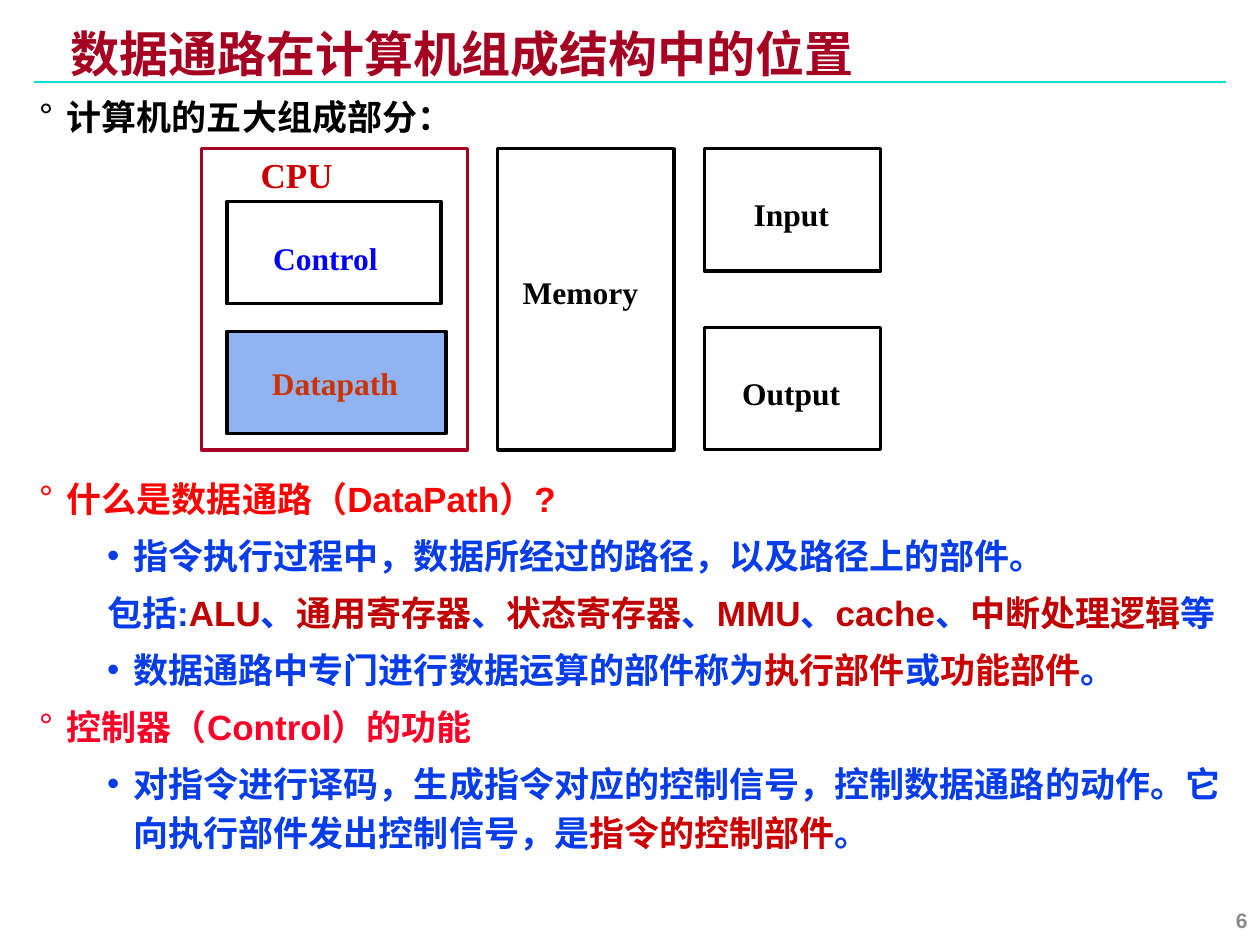
"""Build the slide on where the datapath sits in a computer's structure."""
from dataclasses import dataclass
from typing import NamedTuple, Optional

from lxml.etree import SubElement
from pptx import Presentation
from pptx.dml.color import RGBColor
from pptx.enum.shapes import MSO_CONNECTOR, MSO_SHAPE
from pptx.enum.text import MSO_ANCHOR, PP_ALIGN
from pptx.oxml.ns import qn
from pptx.slide import Slide
from pptx.util import Inches, Pt

COLORS = {
    "black": "000000", "crimson": "A50021", "rule": "00DFCA", "red": "FF0000",
    "rose": "FC0128", "blue": "063DE8", "brick": "C00000", "scarlet": "CC0000",
    "control": "0000FF", "rust": "CC3300", "sky": "91B3F1", "gray": "8C8C8C",
}
SLIDE_WIDTH, SLIDE_HEIGHT = Inches(10), Inches(7.5)
COLUMN, ROW = SLIDE_WIDTH / 100, SLIDE_HEIGHT / 75
SANS, SERIF = "Arial", "Times New Roman"
TIGHT, REGULAR = (0.07, 0.03), (0.1, 0.05)


class Area(NamedTuple):
    """Left, top, width and height in grid columns and rows."""
    left: float
    top: float
    width: float
    height: float

    def emu(self) -> tuple[int, int, int, int]:
        """Return the area in slide units."""
        return (round(self.left * COLUMN), round(self.top * ROW),
                round(self.width * COLUMN), round(self.height * ROW))


class Piece(NamedTuple):
    """A stretch of text in one colour."""
    text: str
    color: str


class Level(NamedTuple):
    """Indents in inches and the bullet of an outline level."""
    margin: float
    hanging: float
    bullet: Optional[str]


@dataclass(frozen=True)
class Line:
    """A paragraph with its pieces and layout."""
    pieces: tuple[Piece, ...]
    size: float = 20
    font: str = SANS
    level: Optional[Level] = None
    spacing: Optional[float] = None
    before: float = 0
    align: Optional[PP_ALIGN] = None


@dataclass(frozen=True)
class Unit:
    """A framed part of the computer with its label."""
    frame: Area
    label_area: Area
    label: Piece
    border: str = "black"
    fill: Optional[str] = None
    size: float = 18
    align: Optional[PP_ALIGN] = None


TOPIC = Level(0.22, -0.22, "°")
DETAIL = Level(0.75, -0.21, "•")
PLAIN = Level(0.54, 0, None)

UNITS = (
    Unit(Area(18, 16, 17, 8.1), Area(20.7, 18.5, 11, 4), Piece("Control", "control")),
    Unit(Area(39.5, 11.8, 14, 23.9), Area(40.5, 21.2, 12.5, 4), Piece("Memory", "black")),
    Unit(Area(16, 11.8, 21.1, 23.9), Area(19.7, 11.7, 8.5, 4.3), Piece("CPU", "scarlet"),
         border="crimson", size=20),
    Unit(Area(55.9, 11.8, 14, 9.7), Area(57.8, 15, 10, 4), Piece("Input", "black"),
         align=PP_ALIGN.CENTER),
    Unit(Area(55.9, 26, 14, 9.7), Area(56.8, 29.2, 12, 4), Piece("Output", "black"),
         align=PP_ALIGN.CENTER),
    Unit(Area(18, 26.3, 17.4, 8.1), Area(20.6, 28.4, 13.2, 4), Piece("Datapath", "rust"),
         fill="sky"),
)

PARTS = ("ALU", "通用寄存器", "状态寄存器", "MMU", "cache", "中断处理逻辑")
SEPARATORS = ("、",) * (len(PARTS) - 1) + ("等",)
PART_PIECES = tuple(
    piece for part, separator in zip(PARTS, SEPARATORS)
    for piece in (Piece(part, "brick"), Piece(separator, "blue"))
)

OUTLINE = (
    (TOPIC, (Piece("什么是数据通路（DataPath）?", "red"),)),
    (DETAIL, (Piece("指令执行过程中，数据所经过的路径，以及路径上的部件。", "blue"),)),
    (PLAIN, (Piece("包括:", "blue"), *PART_PIECES)),
    (DETAIL, (Piece("数据通路中专门进行数据运算的部件称为", "blue"),
              Piece("执行部件", "scarlet"), Piece("或", "blue"),
              Piece("功能部件", "scarlet"), Piece("。", "blue"))),
    (TOPIC, (Piece("控制器（Control）的功能", "rose"),)),
    (DETAIL, (Piece("对指令进行译码，生成指令对应的控制信号，控制数据通路的动作。"
                    "它向执行部件发出控制信号，是", "blue"),
              Piece("指令的控制部件", "scarlet"), Piece("。", "blue"))),
)


def rgb(name: str) -> RGBColor:
    """Look up a colour by name."""
    return RGBColor.from_string(COLORS[name])


def set_level(paragraph, level: Level) -> None:
    """Give a paragraph its indents and bullet."""
    properties = paragraph._p.get_or_add_pPr()
    properties.set("marL", str(Inches(level.margin)))
    properties.set("indent", str(Inches(level.hanging)))
    if level.bullet:
        SubElement(properties, qn("a:buFont")).set("typeface", SANS)
        SubElement(properties, qn("a:buChar")).set("char", level.bullet)


def add_text(slide: Slide, area: Area, lines: tuple[Line, ...],
             insets: tuple[float, float] = TIGHT, wrap: bool = True,
             anchor: MSO_ANCHOR = MSO_ANCHOR.TOP) -> None:
    """Add a text box that holds the given lines."""
    frame = slide.shapes.add_textbox(*area.emu()).text_frame
    frame.word_wrap, frame.vertical_anchor = wrap, anchor
    frame.margin_left = frame.margin_right = Inches(insets[0])
    frame.margin_top = frame.margin_bottom = Inches(insets[1])
    for index, line in enumerate(lines):
        paragraph = frame.add_paragraph() if index else frame.paragraphs[0]
        if line.level:
            set_level(paragraph, line.level)
        paragraph.alignment = line.align
        paragraph.line_spacing = line.spacing
        if index:
            paragraph.space_before = Pt(line.before)
        for piece in line.pieces:
            run = paragraph.add_run()
            run.text = piece.text
            run.font.name, run.font.size, run.font.bold = line.font, Pt(line.size), True
            run.font.color.rgb = rgb(piece.color)


def add_unit(slide: Slide, unit: Unit) -> None:
    """Draw a framed part and its label."""
    box = slide.shapes.add_shape(MSO_SHAPE.RECTANGLE, *unit.frame.emu())
    box.shadow.inherit = False
    box.line.color.rgb, box.line.width = rgb(unit.border), Pt(2)
    if unit.fill:
        box.fill.solid()
        box.fill.fore_color.rgb = rgb(unit.fill)
    else:
        box.fill.background()
    label = Line((unit.label,), size=unit.size, font=SERIF, align=unit.align)
    add_text(slide, unit.label_area, (label,), REGULAR, wrap=False)


def add_rule(slide: Slide, left: float, right: float, row: float) -> None:
    """Draw the horizontal rule below the title."""
    rule = slide.shapes.add_connector(
        MSO_CONNECTOR.STRAIGHT, round(left * COLUMN), round(row * ROW),
        round(right * COLUMN), round(row * ROW))
    rule.line.color.rgb, rule.line.width = rgb("rule"), Pt(1.5)
    SubElement(rule._element.spPr, qn("a:effectLst"))


def main() -> None:
    """Assemble and save the slide."""
    deck = Presentation()
    deck.slide_width, deck.slide_height = SLIDE_WIDTH, SLIDE_HEIGHT
    slide = deck.slides.add_slide(deck.slide_layouts[6])
    add_rule(slide, 2.7, 97.3, 6.5)
    title = Piece("数据通路在计算机组成结构中的位置", "crimson")
    add_text(slide, Area(4.9, 2.2, 81.1, 4.6), (Line((title,), size=28, spacing=0.87),))
    opening = Piece("计算机的五大组成部分：", "black")
    add_text(slide, Area(2.4, 7.3, 95.6, 4), (Line((opening,), level=TOPIC),))
    add_text(slide, Area(2.4, 37.1, 95.6, 33.5), tuple(
        Line(pieces, level=level, spacing=1.15, before=5) for level, pieces in OUTLINE))
    for unit in UNITS:
        add_unit(slide, unit)
    number = Line((Piece("6", "gray"),), size=12, align=PP_ALIGN.RIGHT)
    add_text(slide, Area(77.5, 71, 22.5, 4), (number,), REGULAR, anchor=MSO_ANCHOR.MIDDLE)
    deck.save("out.pptx")


if __name__ == "__main__":
    main()
